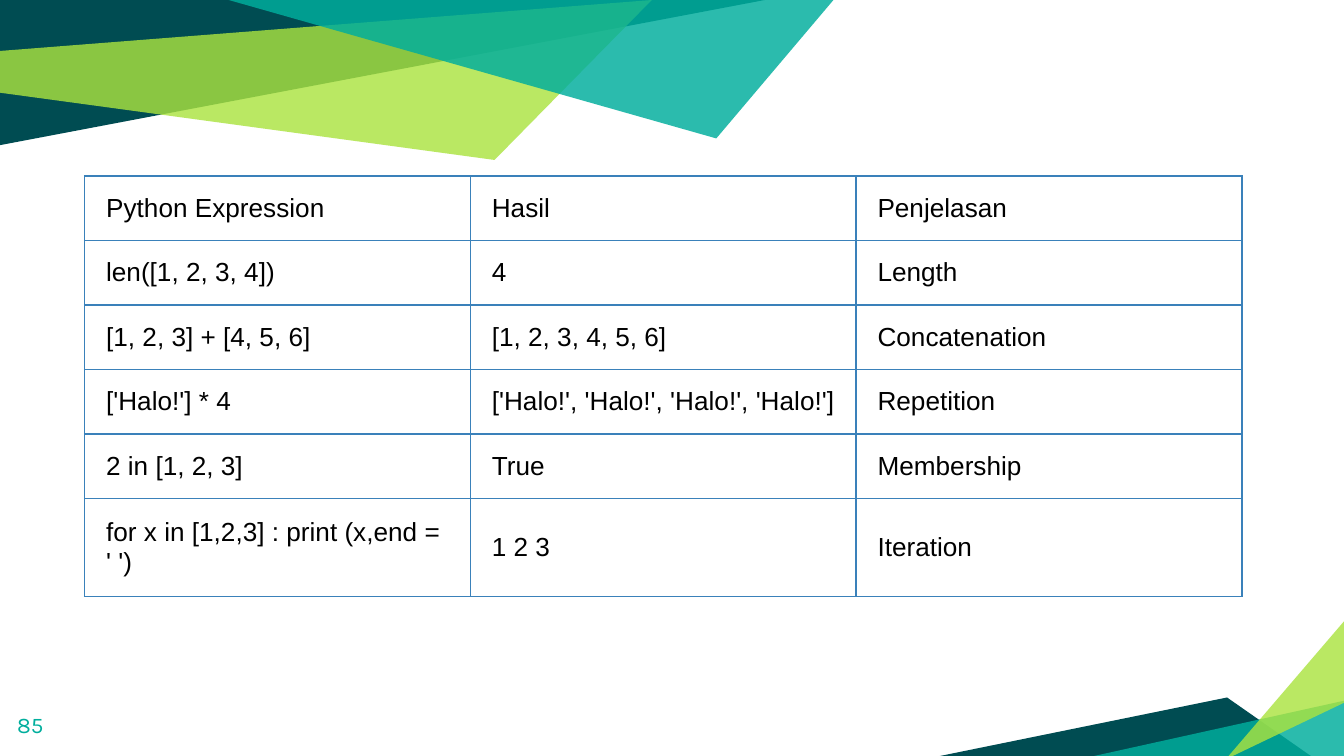
"""Build a slide with a table of Python list operations."""
from lxml.etree import SubElement
from pptx import Presentation
from pptx.dml.color import RGBColor
from pptx.enum.text import MSO_ANCHOR as ANCHOR
from pptx.oxml import parse_xml
from pptx.oxml.ns import nsdecls, qn
from pptx.util import Inches, Pt

DARK = RGBColor(0x00, 0x4C, 0x52)
LIME = RGBColor(0xAB, 0xE3, 0x3F)
TEAL = RGBColor(0x00, 0xAE, 0x9D)
BLUE = RGBColor(0x3A, 0x81, 0xBA)
BLACK = RGBColor(0x00, 0x00, 0x00)

SHARDS = [
    ([(0, 0), (0, 1.08), (5.69, 0)], DARK, 100),
    ([(-0.01, 0.38), (0, 0.69), (3.68, 1.19), (4.85, 0)], LIME, 81),
    ([(6.97, 5.63), (9.76, 5.63), (9.13, 5.19)], DARK, 100),
    ([(10.02, 5.21), (10.02, 5.65), (8.03, 5.65)], TEAL, 83),
    ([(10.02, 5.22), (10.02, 4.6), (9.12, 5.65)], LIME, 81),
    ([(1.7, 0), (5.33, 1.03), (6.21, -0.01), (6.09, 0)], TEAL, 83),
]
ROWS = [
    ("Python Expression", "Hasil", "Penjelasan"),
    ("len([1, 2, 3, 4])", "4", "Length"),
    ("[1, 2, 3] + [4, 5, 6]", "[1, 2, 3, 4, 5, 6]", "Concatenation"),
    ("['Halo!'] * 4", "['Halo!', 'Halo!', 'Halo!', 'Halo!']", "Repetition"),
    ("2 in [1, 2, 3]", "True", "Membership"),
    ("for x in [1,2,3] : print (x,end = ' ')", "1 2 3", "Iteration"),
]
ROW_HEIGHTS = [0.48] * 5 + [0.73]
COL_WIDTH = 2.87


def add_run(p, text, size, font, color):
    r = p.add_run()
    r.text = text
    r.font.size = Pt(size)
    r.font.name = font
    r.font.color.rgb = color


def add_shard(slide, points, color, opacity):
    start, *rest = [(Inches(x), Inches(y)) for x, y in points]
    builder = slide.shapes.build_freeform(*start)
    builder.add_line_segments(rest, close=True)
    s = builder.convert_to_shape()
    s.shadow.inherit = False
    s.line.fill.background()
    s.fill.solid()
    s.fill.fore_color.rgb = color
    if opacity < 100:
        clr = s._element.spPr.find(qn("a:solidFill")).find(qn("a:srgbClr"))
        SubElement(clr, qn("a:alpha")).set("val", str(opacity * 1000))


def add_page_number(slide, text):
    s = slide.shapes.add_textbox(Inches(0.03), Inches(5.19), Inches(0.6), Inches(0.43))
    tf = s.text_frame
    tf.word_wrap = True
    tf.margin_left = tf.margin_right = tf.margin_top = tf.margin_bottom = Inches(0.1)
    add_run(tf.paragraphs[0], text, 12, "Karla", TEAL)


def set_borders(cell, color, width):
    tc_pr = cell._tc.get_or_add_tcPr()
    for i, side in enumerate(("lnL", "lnR", "lnT", "lnB")):
        tc_pr.insert(i, parse_xml(
            f'<a:{side} {nsdecls("a")} w="{Pt(width)}"><a:solidFill>'
            f'<a:srgbClr val="{color}"/></a:solidFill></a:{side}>'))


def fill_cell(cell, text):
    cell.fill.background()
    cell.vertical_anchor = ANCHOR.MIDDLE
    cell.margin_left = Inches(0.16)
    cell.margin_right = Inches(0.15)
    cell.margin_top = cell.margin_bottom = Inches(0.1)
    add_run(cell.text_frame.paragraphs[0], text, 14, "Arial", BLACK)
    set_borders(cell, BLUE, 1)


def add_operations_table(slide):
    cols = len(ROWS[0])
    table = slide.shapes.add_table(
        len(ROWS), cols, Inches(0.63), Inches(1.31),
        Inches(COL_WIDTH * cols), Inches(sum(ROW_HEIGHTS))).table
    table.first_row = table.horz_banding = False
    for col in table.columns:
        col.width = Inches(COL_WIDTH)
    for i, (height, texts) in enumerate(zip(ROW_HEIGHTS, ROWS)):
        table.rows[i].height = Inches(height)
        for j, text in enumerate(texts):
            fill_cell(table.cell(i, j), text)


def main():
    prs = Presentation()
    prs.slide_width = Inches(10)
    prs.slide_height = prs.slide_width * 9 // 16
    slide = prs.slides.add_slide(prs.slide_layouts[6])
    for points, color, opacity in SHARDS:
        add_shard(slide, points, color, opacity)
    add_page_number(slide, "85")
    add_operations_table(slide)
    prs.save("out.pptx")


if __name__ == "__main__":
    main()
